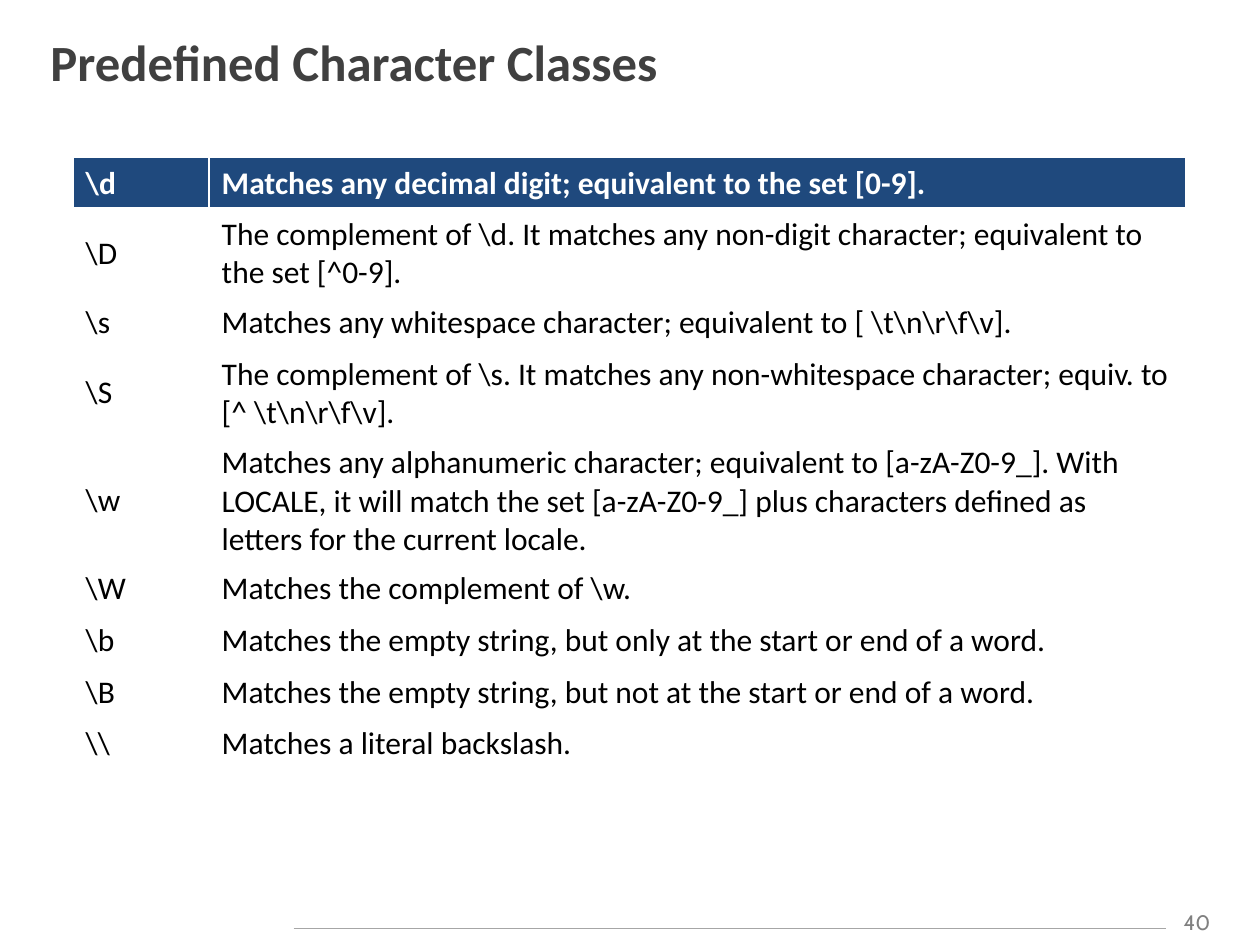
from dataclasses import dataclass

from lxml import etree
from pptx import Presentation
from pptx.dml.color import RGBColor
from pptx.enum.shapes import MSO_CONNECTOR
from pptx.enum.text import MSO_ANCHOR, PP_ALIGN
from pptx.oxml.ns import qn
from pptx.util import Inches, Pt

STRAIGHT = MSO_CONNECTOR.STRAIGHT
MIDDLE = MSO_ANCHOR.MIDDLE
LEFT, CENTER = PP_ALIGN.LEFT, PP_ALIGN.CENTER
TITLE_ONLY = 5


@dataclass(frozen=True)
class Theme:
    body_font: str = "Calibri"
    number_font: str = "Cabin"
    title_size: int = 29
    table_size: int = 18
    number_size: int = 12
    title: str = "404040"
    header: str = "1F497D"
    white: str = "FFFFFF"
    text: str = "000000"
    number: str = "808080"
    rule: str = "A6A6A6"


THEME = Theme()

CHARACTER_CLASSES = [
    (r"\d", "Matches any decimal digit; equivalent to the set [0-9]."),
    (r"\D", r"The complement of \d. It matches any non-digit character; "
            "equivalent to the set [^0-9]."),
    (r"\s", r"Matches any whitespace character; equivalent to [ \t\n\r\f\v]."),
    (r"\S", r"The complement of \s. It matches any non-whitespace character; "
            r"equiv. to [^ \t\n\r\f\v]."),
    (r"\w", "Matches any alphanumeric character; equivalent to [a-zA-Z0-9_]. "
            "With LOCALE, it will match the set [a-zA-Z0-9_] plus characters "
            "defined as letters for the current locale."),
    (r"\W", r"Matches the complement of \w."),
    (r"\b", "Matches the empty string, but only at the start or end of a word."),
    (r"\B", "Matches the empty string, but not at the start or end of a word."),
    (r"\\", "Matches a literal backslash."),
]


def write_text(frame, text, *, size, color, font=THEME.body_font, bold=False, align=LEFT):
    para = frame.paragraphs[0]
    para.alignment = align
    span = para.add_run()
    span.text = text
    span.font.name = font
    span.font.size = Pt(size)
    span.font.bold = bold
    span.font.color.rgb = RGBColor.from_string(color)


def set_borders(cell, color, bottom_width):
    """Draw the four sides of a cell; call before its fill is set."""
    properties = cell._tc.get_or_add_tcPr()
    for side, width in (("L", 1), ("R", 1), ("T", 1), ("B", bottom_width)):
        line = etree.SubElement(properties, qn(f"a:ln{side}"), w=str(Pt(width)))
        fill = etree.SubElement(line, qn("a:solidFill"))
        etree.SubElement(fill, qn("a:srgbClr"), val=color)


def add_title(page, box, text):
    title = page.shapes.title
    title.left, title.top, title.width, title.height = box
    title.text_frame.vertical_anchor = MIDDLE
    write_text(title.text_frame, text, size=THEME.title_size, color=THEME.title, bold=True)


def add_class_table(page, box, entries, first_column_share):
    left, top, width, height = box
    table = page.shapes.add_table(len(entries), 2, left, top, width, height).table
    table.horz_banding = False
    table.columns[0].width = int(width * first_column_share)
    table.columns[1].width = width - table.columns[0].width
    for row, entry in enumerate(entries):
        is_header = row == 0
        for column, text in enumerate(entry):
            cell = table.cell(row, column)
            set_borders(cell, THEME.white, bottom_width=3 if is_header else 1)
            cell.fill.solid()
            cell.fill.fore_color.rgb = RGBColor.from_string(
                THEME.header if is_header else THEME.white)
            cell.vertical_anchor = MIDDLE
            write_text(cell.text_frame, text, size=THEME.table_size, bold=is_header,
                       color=THEME.white if is_header else THEME.text)


def add_footer(page, box, number, number_width):
    left, top, width, height = box
    rule_end = left + width - number_width
    # Rule, two thirds of the way down the footer
    rule_y = top + int(height * 2 / 3)
    rule = page.shapes.add_connector(STRAIGHT, left, rule_y, rule_end, rule_y)
    rule.line.color.rgb = RGBColor.from_string(THEME.rule)
    rule.line.width = Pt(0.75)
    etree.SubElement(rule._element.spPr, qn("a:effectLst"))
    # Page number
    number_box = page.shapes.add_textbox(rule_end, top, number_width, height)
    number_box.text_frame.word_wrap = True
    write_text(number_box.text_frame, number, size=THEME.number_size, color=THEME.number,
               font=THEME.number_font, align=CENTER)


def inch_box(*lengths):
    return tuple(Inches(length) for length in lengths)


def main():
    deck = Presentation()
    deck.slide_width, deck.slide_height = Inches(10), Inches(7.5)
    page = deck.slides.add_slide(deck.slide_layouts[TITLE_ONLY])

    add_footer(page, inch_box(2.33, 7.17, 7.42, 0.3), "40", Inches(0.5))
    add_title(page, inch_box(0.3, 0.17, 9.36, 0.63), "Predefined Character Classes")
    row_height = 0.41
    add_class_table(page, inch_box(0.58, 1.25, 8.83, row_height * len(CHARACTER_CLASSES)),
                    CHARACTER_CLASSES, first_column_share=1.08 / 8.83)

    deck.save("out.pptx")


if __name__ == "__main__":
    main()
